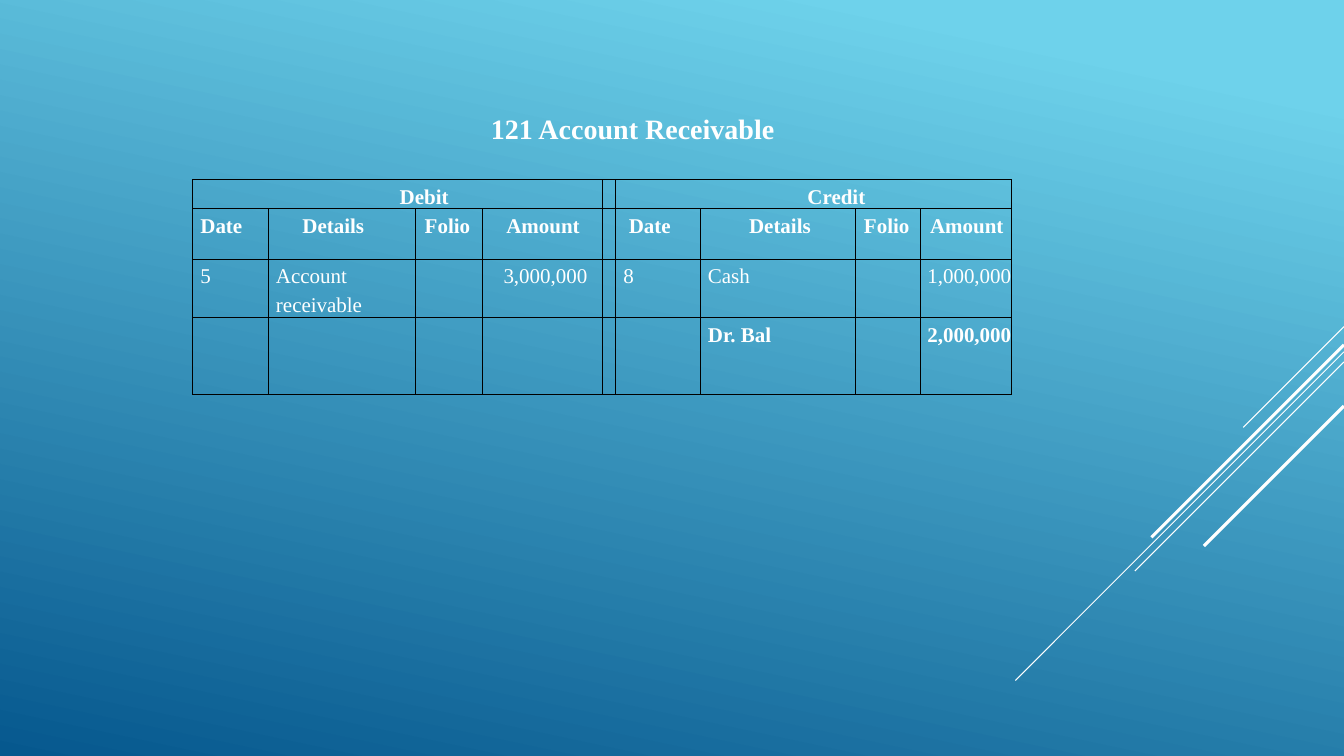
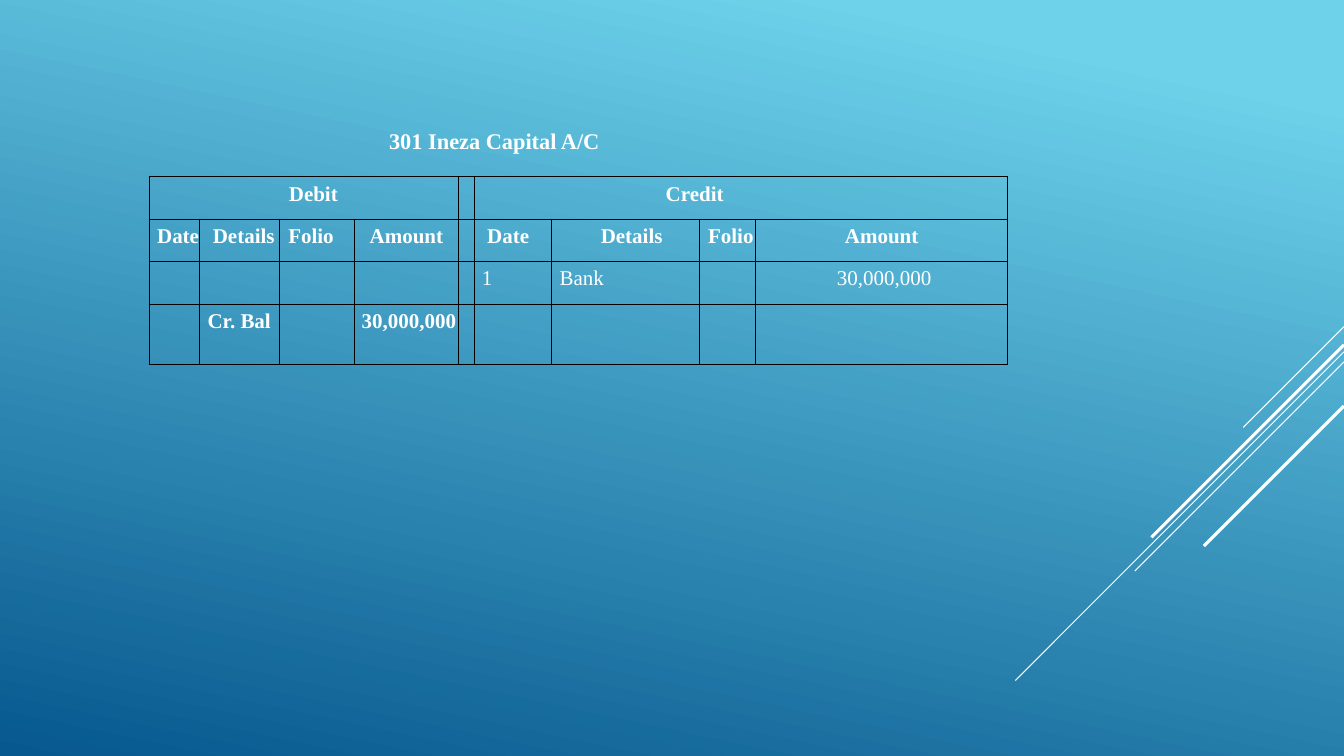
from lxml import etree
from pptx import Presentation
from pptx.dml.color import RGBColor
from pptx.enum.shapes import MSO_CONNECTOR
from pptx.enum.text import PP_ALIGN
from pptx.oxml.ns import qn
from pptx.util import Pt

LEFT, CENTER = PP_ALIGN.LEFT, PP_ALIGN.CENTER
STRAIGHT = MSO_CONNECTOR.STRAIGHT
WHITE = RGBColor(0xFF, 0xFF, 0xFF)
SKY = RGBColor(0x6E, 0xD2, 0xEB)
NAVY = RGBColor(0x06, 0x58, 0x8E)
BORDER = "000000"
FONT = "Times New Roman"
SLIDE_W, SLIDE_H = 960, 540
AMOUNT_COLS = (3, 8)

STREAKS = [
    (233.3, 72, 0.75),
    (251.3, 234.7, 0.75),
    (258.5, 149.4, 0.75),
    (246.3, 137.5, 2.25),
    (290, 100, 2.25),
]
SECTIONS = ["Debit", "", "", "", "", "Credit", "", "", ""]
HEADINGS = ["Date", "Details", "Folio", "Amount", "", "Date", "Details", "Folio", "Amount"]

LEDGERS = [
    {
        "title": "121 Account Receivable", "title_box": (350, 78.5, 260, 25), "title_size": 20,
        "at": (137.5, 128.2),
        "cols": [54, 105.5, 47.7, 85.7, 9.4, 60.3, 110.7, 47, 65],
        "rows": [20.8, 36.5, 41.4, 54.7],
        "debit_indent": 38, "details_indent": 24.5,
        "entries": [
            ["5", "Account receivable", "", "3,000,000", "", "8", "Cash", "", "1,000,000"],
            ["", "", "", "", "", "", "Dr. Bal", "", "2,000,000"],
        ],
    },
    {
        "title": "301 Ineza Capital A/C", "title_box": (277.2, 89.3, 159, 20), "title_size": 16,
        "at": (106.6, 126),
        "cols": [36, 56.9, 53.4, 74.2, 11.5, 55.6, 105.3, 40, 180],
        "rows": [30.4, 30.4, 30.4, 43.4],
        "debit_indent": 14, "details_indent": 9.4,
        "entries": [
            ["", "", "", "", "", "1", "Bank", "", "30,000,000"],
            ["", "Cr. Bal", "", "30,000,000", "", "", "", "", ""],
        ],
    },
]


def write(p, text, size=15, bold=True, align=LEFT, indent=0, leading=None):
    p._p.get_or_add_pPr().set("marL", str(int(Pt(indent))))
    p.alignment = align
    if leading:
        p.line_spacing = Pt(leading)
    r = p.add_run()
    r.text = text
    r.font.name = FONT
    r.font.size = Pt(size)
    r.font.bold = bold
    r.font.color.rgb = WHITE


prs = Presentation()
prs.slide_width, prs.slide_height = Pt(SLIDE_W), Pt(SLIDE_H)

fill = prs.slide_master.background.fill
fill.gradient()
fill.gradient_angle = 360 - 102
for stop, position, color in zip(fill.gradient_stops, (0.1, 1), (SKY, NAVY)):
    stop.position = position
    stop.color.rgb = color

for ledger in LEDGERS:
    s = prs.slides.add_slide(prs.slide_layouts[6])

    for y, reach, width in STREAKS:
        c = s.shapes.add_connector(STRAIGHT, Pt(SLIDE_W), Pt(y), Pt(SLIDE_W - reach), Pt(y + reach))
        c.line.color.rgb = WHITE
        c.line.width = Pt(width)
        etree.SubElement(c._element.spPr, qn("a:effectLst"))

    tf = s.shapes.add_textbox(*map(Pt, ledger["title_box"])).text_frame
    tf.word_wrap = True
    tf.margin_left = tf.margin_right = tf.margin_bottom = 0
    tf.margin_top = Pt(1.4)
    write(tf.paragraphs[0], ledger["title"], size=ledger["title_size"], indent=0.7)

    cols, rows = ledger["cols"], ledger["rows"]
    x, y = ledger["at"]
    table = s.shapes.add_table(
        len(rows), len(cols), Pt(x), Pt(y), Pt(sum(cols)), Pt(sum(rows))).table
    table.first_row = table.horz_banding = False
    for column, width in zip(table.columns, cols):
        column.width = Pt(width)
    for row, height in zip(table.rows, rows):
        row.height = Pt(height)
    for first in (0, 5):
        table.cell(0, first).merge(table.cell(0, first + 3))

    section_indents = [ledger["debit_indent"], 0, 0, 0, 0, 137, 0, 0, 0]
    heading_indents = [5.6, ledger["details_indent"], 6.4, 0.7, 0, 9.4, 35, 6.4, 0.7]
    entry_indents = [4.3 if j in AMOUNT_COLS else 5.6 for j in range(len(cols))]
    indents = [section_indents, heading_indents, entry_indents, entry_indents]

    for i, texts in enumerate([SECTIONS, HEADINGS] + ledger["entries"]):
        bold = i != 2
        for j, text in enumerate(texts):
            cell = table.cell(i, j)
            cell.margin_left = cell.margin_right = cell.margin_top = cell.margin_bottom = 0
            tcPr = cell._tc.get_or_add_tcPr()
            for side in ("lnL", "lnR", "lnT", "lnB"):
                ln = etree.SubElement(tcPr, qn("a:" + side), w=str(int(Pt(0.5))))
                solid = etree.SubElement(ln, qn("a:solidFill"))
                etree.SubElement(solid, qn("a:srgbClr"), val=BORDER)
            cell.fill.background()
            p = cell.text_frame.paragraphs[0]
            if text:
                centered = text == "Debit" or (i > 0 and j in AMOUNT_COLS)
                write(p, text, bold=bold, align=CENTER if centered else LEFT,
                      indent=indents[i][j], leading=20.8 if bold else 20.5)
            else:
                etree.SubElement(p._p, qn("a:endParaRPr"), sz="1500")

prs.save("out.pptx")
